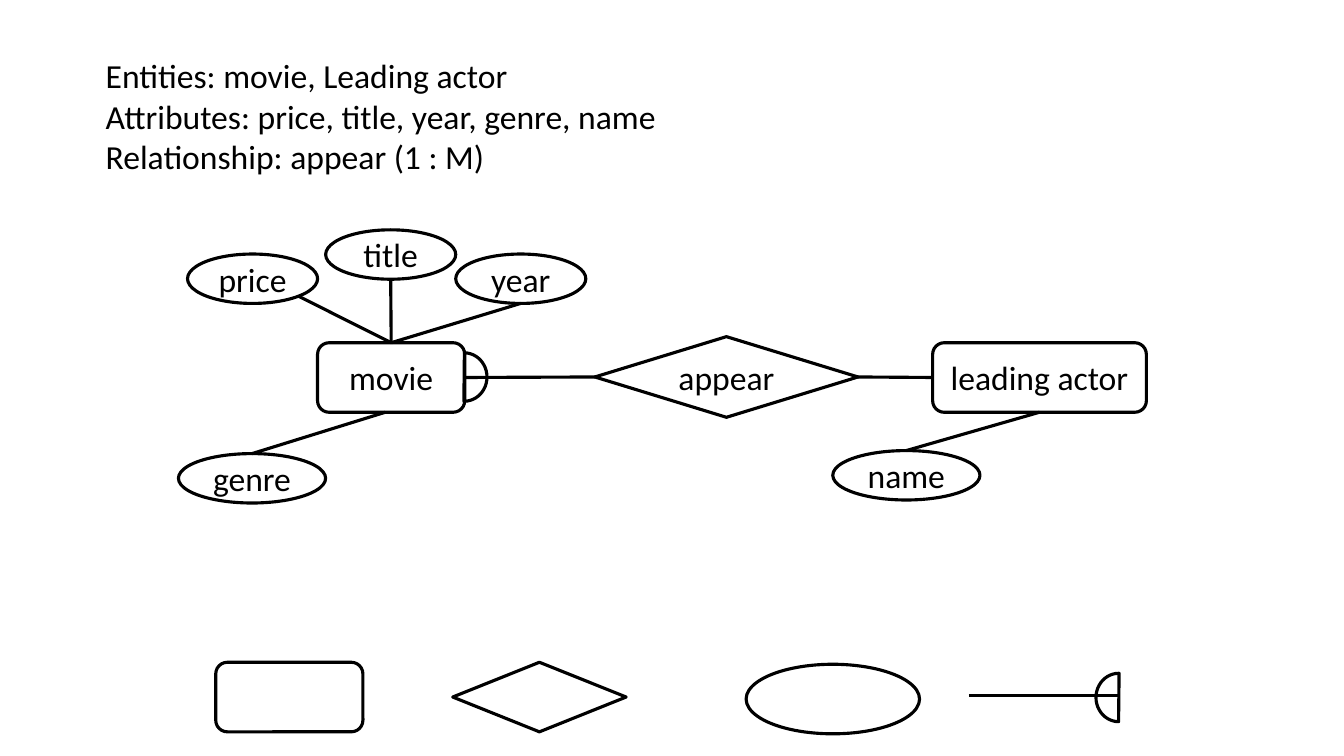
from lxml import etree
from pptx import Presentation
from pptx import util as u
from pptx.dml.color import RGBColor
from pptx.enum import shapes, text
from pptx.oxml.ns import qn

THEME = {
    "font": {"name": "Calibri", "size": u.Pt(24)},
    "ink": RGBColor(0, 0, 0),
    "line": u.Pt(2.25),
}
SUMMARY = [
    "Entities: movie, Leading actor",
    "Attributes: price, title, year, genre, name",
    "Relationship: appear (1 : M)",
]
SUMMARY_BOX = (0.95, 0.5, 5.72, 1.31)

KINDS = {
    "entity": shapes.MSO_SHAPE.ROUNDED_RECTANGLE,
    "attribute": shapes.MSO_SHAPE.OVAL,
    "relationship": shapes.MSO_SHAPE.DIAMOND,
    "many": shapes.MSO_SHAPE.CHORD,
}
NODES = {
    "movie": ("entity", (3.15, 3.4, 1.46, 0.69)),
    "leading actor": ("entity", (9.25, 3.4, 2.12, 0.69)),
    "price": ("attribute", (1.86, 2.52, 1.29, 0.49)),
    "title": ("attribute", (3.23, 2.28, 1.29, 0.49)),
    "year": ("attribute", (4.52, 2.52, 1.29, 0.49)),
    "genre": ("attribute", (1.77, 4.5, 1.46, 0.49)),
    "appear": ("relationship", (5.9, 3.34, 2.61, 0.8)),
    "name": ("attribute", (8.26, 4.47, 1.46, 0.49)),
}
LEGEND = [
    ("entity", (2.14, 6.57, 1.46, 0.69)),
    ("relationship", (4.49, 6.57, 1.72, 0.69)),
    ("attribute", (7.4, 6.59, 1.72, 0.69)),
]
LEGEND_LINE = ((9.61, 6.9), (11.1, 6.9))
MANY_MARKS = [((4.38, 3.5, 0.45, 0.48), 180), ((10.87, 6.68, 0.45, 0.48), 0)]
MANY_ARC = (54.14, 162.6)

SIDES = {
    "top": (0.5, 0),
    "bottom": (0.5, 1),
    "left": (0, 0.5),
    "right": (1, 0.5),
    "lower right": (0.85, 0.85),
    "lower middle": (0.46, 1),
}
LINKS = [
    ("appear", "left", "movie", "right"),
    ("price", "lower right", "movie", "top"),
    ("title", "bottom", "movie", "top"),
    ("year", "bottom", "movie", "top"),
    ("movie", "lower middle", "genre", "top"),
    ("leading actor", "left", "appear", "right"),
    ("leading actor", "bottom", "name", "top"),
]


def assign(target, values):
    for key, value in values.items():
        setattr(target, key, value)


def write(p, words):
    r = p.add_run()
    r.text = words
    assign(r.font, THEME["font"])
    r.font.color.rgb = THEME["ink"]


def outline(item):
    item.line.color.rgb = THEME["ink"]
    item.line.width = THEME["line"]


def draw(s, kind, box, label="", rotation=0):
    sp = s.shapes.add_shape(KINDS[kind], *map(u.Inches, box))
    sp.shadow.inherit = False
    sp.fill.background()
    outline(sp)
    sp.rotation = rotation
    if label:
        p = sp.text_frame.paragraphs[0]
        p.alignment = text.PP_ALIGN.CENTER
        write(p, label)
    return sp


def connect(s, start, end):
    line = s.shapes.add_connector(
        shapes.MSO_CONNECTOR.STRAIGHT, *map(u.Inches, start + end)
    )
    outline(line)
    etree.SubElement(line._element.spPr, qn("a:effectLst"))


def site(node, side):
    left, top, width, height = NODES[node][1]
    across, down = SIDES[side]
    return (left + across * width, top + down * height)


def main():
    prs = Presentation()
    assign(prs, {"slide_width": u.Inches(13.33), "slide_height": u.Inches(7.5)})
    s = prs.slides.add_slide(prs.slide_layouts[6])

    tf = s.shapes.add_textbox(*map(u.Inches, SUMMARY_BOX)).text_frame
    assign(tf, {"word_wrap": False, "auto_size": text.MSO_AUTO_SIZE.SHAPE_TO_FIT_TEXT})
    for i, words in enumerate(SUMMARY):
        write(tf.add_paragraph() if i else tf.paragraphs[0], words)

    for label, (kind, box) in NODES.items():
        draw(s, kind, box, label)
    for source, source_side, target, target_side in LINKS:
        connect(s, site(source, source_side), site(target, target_side))

    for kind, box in LEGEND:
        draw(s, kind, box)
    connect(s, *LEGEND_LINE)
    for box, rotation in MANY_MARKS:
        mark = draw(s, "many", box, rotation=rotation)
        for i, angle in enumerate(MANY_ARC):
            mark.adjustments[i] = angle

    prs.save("out.pptx")


if __name__ == "__main__":
    main()
